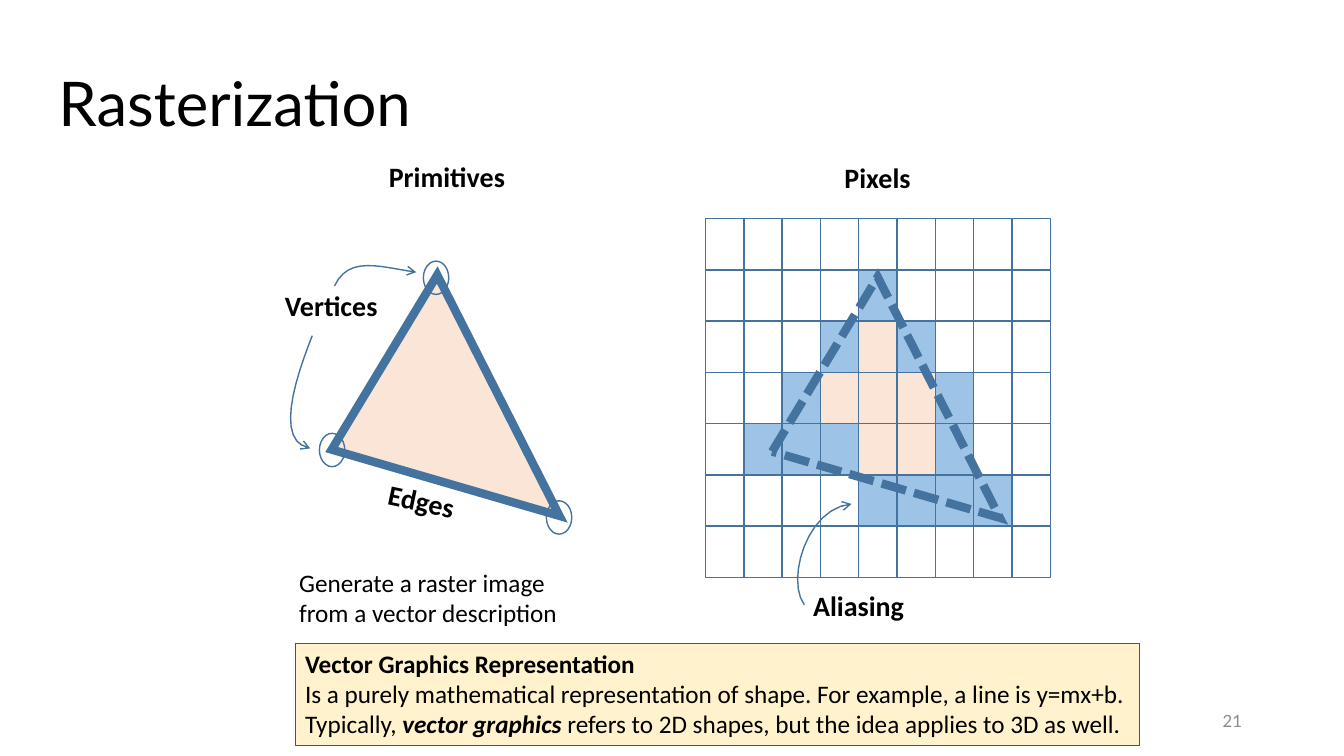
"""Build the slide on rasterization of a triangle into pixels."""
from lxml import etree
from pptx import Presentation
from pptx.dml.color import RGBColor
from pptx.enum.dml import MSO_LINE
from pptx.enum.shapes import MSO_SHAPE
from pptx.enum.text import MSO_ANCHOR, PP_ALIGN
from pptx.oxml.ns import qn
from pptx.util import Cm, Pt

RECTANGLE, OVAL = MSO_SHAPE.RECTANGLE, MSO_SHAPE.OVAL
DASHED = MSO_LINE.SQUARE_DOT
TOP, MIDDLE = MSO_ANCHOR.TOP, MSO_ANCHOR.MIDDLE
LEFT, RIGHT = PP_ALIGN.LEFT, PP_ALIGN.RIGHT

BLACK = RGBColor(0x00, 0x00, 0x00)
WHITE = RGBColor(0xFF, 0xFF, 0xFF)
GRAY = RGBColor(0x8C, 0x8C, 0x8C)
DARK_GRAY = RGBColor(0x52, 0x52, 0x52)
STEEL = RGBColor(0x43, 0x73, 0x9E)
SKY = RGBColor(0x9D, 0xC3, 0xE6)
PEACH = RGBColor(0xFB, 0xE5, 0xD6)
CREAM = RGBColor(0xFF, 0xF2, 0xCC)

TITLE_FONT, BODY_FONT = "Lato", "Calibri"
TITLE_ONLY = 5

TRIANGLE = [(8.36, 11.33), (11.02, 6.93), (14.1, 13)]
PIXEL_OFFSET = (11.1, 0.05)
VERTEX_RINGS = [(10.67, 6.58), (8.05, 10.92), (13.77, 12.62)]
PIXELS = [
    ".........",
    "....E....",
    "...EIE...",
    "..EIIIE..",
    ".EEEIIE..",
    "....EEEE.",
    ".........",
]
PIXEL_FILLS = {".": WHITE, "E": SKY, "I": PEACH}
GRID_LEFT, GRID_TOP, GRID_WIDTH, GRID_HEIGHT = 17.78, 5.51, 8.69, 9.04
LABELS = [
    ("Vertices", 6.93, 7.14, 2.87, 0),
    ("Pixels", 21.03, 3.91, 2.18, 0),
    ("Edges", 9.53, 12.07, 2.21, 12),
    ("Aliasing", 20.24, 14.71, 2.82, 0),
    ("Primitives", 9.55, 3.89, 3.48, 0),
]
ARROWS = [
    [(8.43, 7.21), (8.79, 6.43), (9.58, 6.73), (10.49, 6.86)],
    [(7.87, 8.46), (7.42, 9.6), (6.93, 11.15), (7.82, 11.3)],
    [(20.27, 15.24), (19.81, 14.63), (20.32, 12.8), (21.46, 12.7)],
]
NOTE = [
    [("Vector Graphics Representation", True, False)],
    [("Is a purely mathematical representation of shape. "
      "For example, a line is y=mx+b.", False, False)],
    [("Typically, ", False, False), ("vector graphics ", True, True),
     ("refers to 2D shapes, but the idea applies to 3D as well.", False, False)],
]


def bezier_points(controls, steps=12):
    """Return points along the cubic curve given by four control points."""
    points = []
    for step in range(steps + 1):
        t = step / steps
        weights = ((1 - t) ** 3, 3 * t * (1 - t) ** 2, 3 * t * t * (1 - t), t ** 3)
        points.append(tuple(sum(weight * value for weight, value in zip(weights, axis))
                            for axis in zip(*controls)))
    return points


class SlideBuilder:
    """Draws styled elements on the current slide, measured in centimetres."""

    def __init__(self, slide):
        self.slide = slide

    def paint(self, shape, fill, line_color, line_width):
        """Set fill and outline of a shape."""
        shape.shadow.inherit = False
        if fill is None:
            shape.fill.background()
        else:
            shape.fill.solid()
            shape.fill.fore_color.rgb = fill
        shape.line.color.rgb = line_color
        shape.line.width = Pt(line_width)

    def style(self, font, size, color=BLACK, bold=False, italic=False, name=BODY_FONT):
        """Set the look of a font."""
        font.name, font.size, font.bold, font.italic = name, Pt(size), bold, italic
        font.color.rgb = color

    def title(self, text, left, top, width, height):
        """Place and fill the title placeholder."""
        title = self.slide.shapes.title
        title.left, title.top, title.width, title.height = map(Cm, (left, top, width, height))
        title.text_frame.text = text
        title.text_frame.vertical_anchor = MIDDLE
        paragraph = title.text_frame.paragraphs[0]
        paragraph.alignment = LEFT
        paragraph.line_spacing = 0.9
        self.style(paragraph.runs[0].font, 44, name=TITLE_FONT)

    def text(self, text, left, top, width, height, size, wrap=True, rotation=0,
             align=LEFT, anchor=TOP, **font_style):
        """Add a text box with one paragraph."""
        box = self.slide.shapes.add_textbox(*map(Cm, (left, top, width, height)))
        box.rotation = rotation
        frame = box.text_frame
        frame.text = text
        frame.word_wrap = wrap
        frame.vertical_anchor = anchor
        frame.paragraphs[0].alignment = align
        self.style(frame.paragraphs[0].runs[0].font, size, **font_style)

    def shape(self, kind, left, top, width, height, fill=None, line_color=STEEL, line_width=1):
        """Add a preset shape."""
        shape = self.slide.shapes.add_shape(kind, *map(Cm, (left, top, width, height)))
        self.paint(shape, fill, line_color, line_width)
        return shape

    def outline(self, points, closed, fill=None, line_width=1):
        """Add a freeform through the given points."""
        start, *others = [(Cm(x), Cm(y)) for x, y in points]
        builder = self.slide.shapes.build_freeform(*start)
        builder.add_line_segments(others, close=closed)
        shape = builder.convert_to_shape()
        self.paint(shape, fill, STEEL, line_width)
        return shape

    def triangle(self, points, fill=None, dash=None):
        """Add a thick triangle with sharp corners."""
        shape = self.outline(points, True, fill, 6)
        if dash is not None:
            shape.line.dash_style = dash
        line = shape.line._get_or_add_ln()
        etree.SubElement(line, qn("a:miter"), lim="800000")

    def curved_arrow(self, controls):
        """Add a curve with an open arrowhead at its end."""
        shape = self.outline(bezier_points(controls), False)
        line = shape.line._get_or_add_ln()
        etree.SubElement(line, qn("a:tailEnd"), type="arrow")

    def pixel_grid(self):
        """Add the grid of pixels coloured by the pixel map."""
        width, height = GRID_WIDTH / len(PIXELS[0]), GRID_HEIGHT / len(PIXELS)
        for row, codes in enumerate(PIXELS):
            for column, code in enumerate(codes):
                self.shape(RECTANGLE, GRID_LEFT + column * width, GRID_TOP + row * height,
                           width, height, PIXEL_FILLS[code])

    def note(self, lines, left, top, width, height):
        """Add a filled box with lines of mixed formatting."""
        shape = self.shape(RECTANGLE, left, top, width, height, CREAM, DARK_GRAY, 0.75)
        frame = shape.text_frame
        frame.word_wrap = True
        frame.vertical_anchor = TOP
        paragraph = frame.paragraphs[0]
        paragraph.alignment = LEFT
        for index, line in enumerate(lines):
            if index:
                paragraph.add_line_break()
            for text, bold, italic in line:
                run = paragraph.add_run()
                run.text = text
                self.style(run.font, 18, bold=bold, italic=italic)


def main():
    """Build and save the presentation."""
    presentation = Presentation()
    presentation.slide_width, presentation.slide_height = Cm(33.87), Cm(19.05)
    layout = presentation.slide_layouts[TITLE_ONLY]
    builder = SlideBuilder(presentation.slides.add_slide(layout))
    builder.title("Rasterization", 1.22, 1.42, 24.77, 2.54)
    builder.text("21", 23.93, 17.65, 7.62, 1.02, 12, align=RIGHT, anchor=MIDDLE,
                 color=GRAY, name=TITLE_FONT)
    builder.triangle(TRIANGLE, fill=PEACH)
    builder.pixel_grid()
    shift_x, shift_y = PIXEL_OFFSET
    builder.triangle([(x + shift_x, y + shift_y) for x, y in TRIANGLE], dash=DASHED)
    for left, top in VERTEX_RINGS:
        builder.shape(OVAL, left, top, 0.64, 0.84)
    for text, left, top, width, rotation in LABELS:
        builder.text(text, left, top, width, 1.12, 20, wrap=False, rotation=rotation, bold=True)
    for controls in ARROWS:
        builder.curved_arrow(controls)
    builder.text("Generate a raster image from a vector description",
                 7.29, 14.17, 7.09, 1.8, 18)
    builder.note(NOTE, 7.44, 16.21, 21.29, 2.57)
    presentation.save("out.pptx")


if __name__ == "__main__":
    main()
